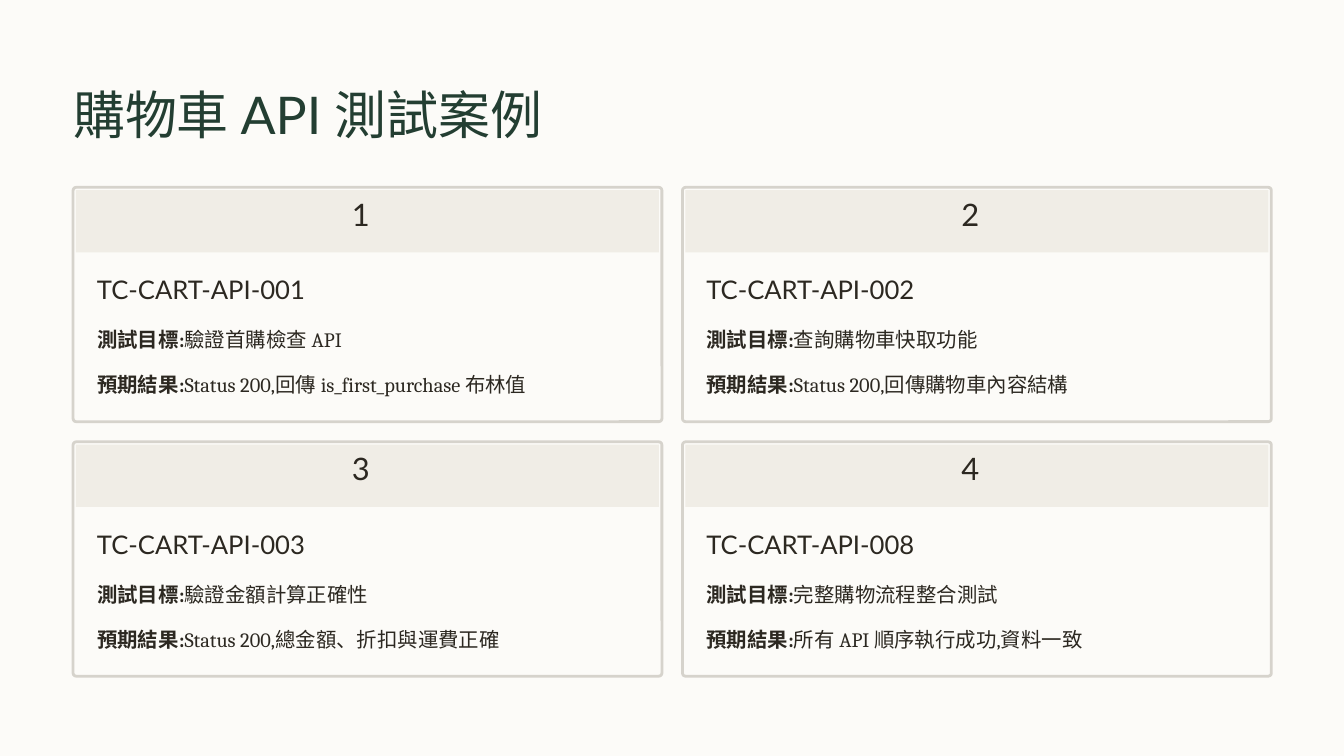
from pptx import Presentation
from pptx.dml.color import RGBColor as Rgb
from pptx.enum.shapes import MSO_SHAPE as Kind
from pptx.enum.text import MSO_ANCHOR as Anchor, MSO_AUTO_SIZE as Fit, PP_ALIGN as Align
from pptx.util import Inches, Pt

HUES = {"page": "FCFBF8", "head": "F0EDE6", "edge": "D6D3CC",
        "title": "233E32", "ink": "2C2821"}
WIDE, HIGH = 16, 9

# Card grid: first corner, card size and step from card to card
LEFT, TOP = 0.87, 2.23
CARD_W, CARD_H = 7.01, 2.79
STEP_X, STEP_Y = 7.255, 3.03
COLS = 2
PAD, EDGE = 0.285, 0.035

CASES = [
    ("TC-CART-API-001", "驗證首購檢查 API",
     "Status 200,回傳 is_first_purchase 布林值"),
    ("TC-CART-API-002", "查詢購物車快取功能", "Status 200,回傳購物車內容結構"),
    ("TC-CART-API-003", "驗證金額計算正確性", "Status 200,總金額、折扣與運費正確"),
    ("TC-CART-API-008", "完整購物流程整合測試", "所有 API 順序執行成功,資料一致"),
]


def hue(name):
    return Rgb.from_string(HUES[name])


def write(box, runs, size, lead, face, ink="ink"):
    """Fill a box with one line of (text, bold) runs."""
    frame = box.text_frame
    frame.margin_left = frame.margin_right = 0
    frame.margin_top = frame.margin_bottom = 0
    frame.word_wrap = True
    frame.auto_size = Fit.NONE
    frame.vertical_anchor = Anchor.TOP
    line = frame.paragraphs[0]
    line.alignment = Align.LEFT
    line.line_spacing = Pt(lead)
    for text, bold in runs:
        run = line.add_run()
        run.text = text
        font = run.font
        font.name, font.size, font.bold = face, Pt(size), bold
        font.color.rgb = hue(ink)


def label(slide, area, runs, size, lead, face):
    box = slide.shapes.add_textbox(*map(Inches, area))
    write(box, runs, size, lead, face)


def panel(slide, kind, area, fill, edge=None):
    shape = slide.shapes.add_shape(kind, *map(Inches, area))
    shape.shadow.inherit = False
    shape.fill.solid()
    shape.fill.fore_color.rgb = hue(fill)
    if edge:
        shape.line.color.rgb = hue(edge)
        shape.line.width = Pt(2.4)
    else:
        shape.line.fill.background()
    return shape


def card(slide, rank, case):
    row, col = divmod(rank, COLS)
    x, y = LEFT + col * STEP_X, TOP + row * STEP_Y
    code, goal, hope = case

    # Frame and header band
    frame = panel(slide, Kind.ROUNDED_RECTANGLE, (x, y, CARD_W, CARD_H), "page", "edge")
    frame.adjustments[0] = 0.013
    panel(slide, Kind.RECTANGLE, (x + EDGE, y + EDGE, CARD_W - 2 * EDGE, 0.74), "head")
    label(slide, (x + 3.32, y + 0.17, 0.37, 0.47),
          [(str(rank + 1), False)], 26.5, 26.5, "Lato")

    # Case code, then goal and expected result
    label(slide, (x + PAD, y + 1.02, 3.1, 0.39), [(code, False)], 22, 27.5, "Lato")
    for n, (head, text) in enumerate((("測試目標:", goal), ("預期結果:", hope))):
        label(slide, (x + PAD, y + 1.56 + n * 0.54, 6.45, 0.4),
              [(head, True), (text, False)], 17.5, 28.5, "Cambria")


def title(slide, text):
    box = slide.shapes.title
    box.left, box.top, box.width, box.height = map(Inches, (LEFT, 0.95, 6.2, 0.78))
    write(box, [(text, False)], 44.5, 55.5, "Lato", "title")


def main():
    deck = Presentation()
    deck.slide_width, deck.slide_height = Inches(WIDE), Inches(HIGH)
    slide = deck.slides.add_slide(deck.slide_layouts[5])
    back = slide.background.fill
    back.solid()
    back.fore_color.rgb = hue("page")

    title(slide, "購物車 API 測試案例")
    for rank, case in enumerate(CASES):
        card(slide, rank, case)
    deck.save("out.pptx")


if __name__ == "__main__":
    main()
